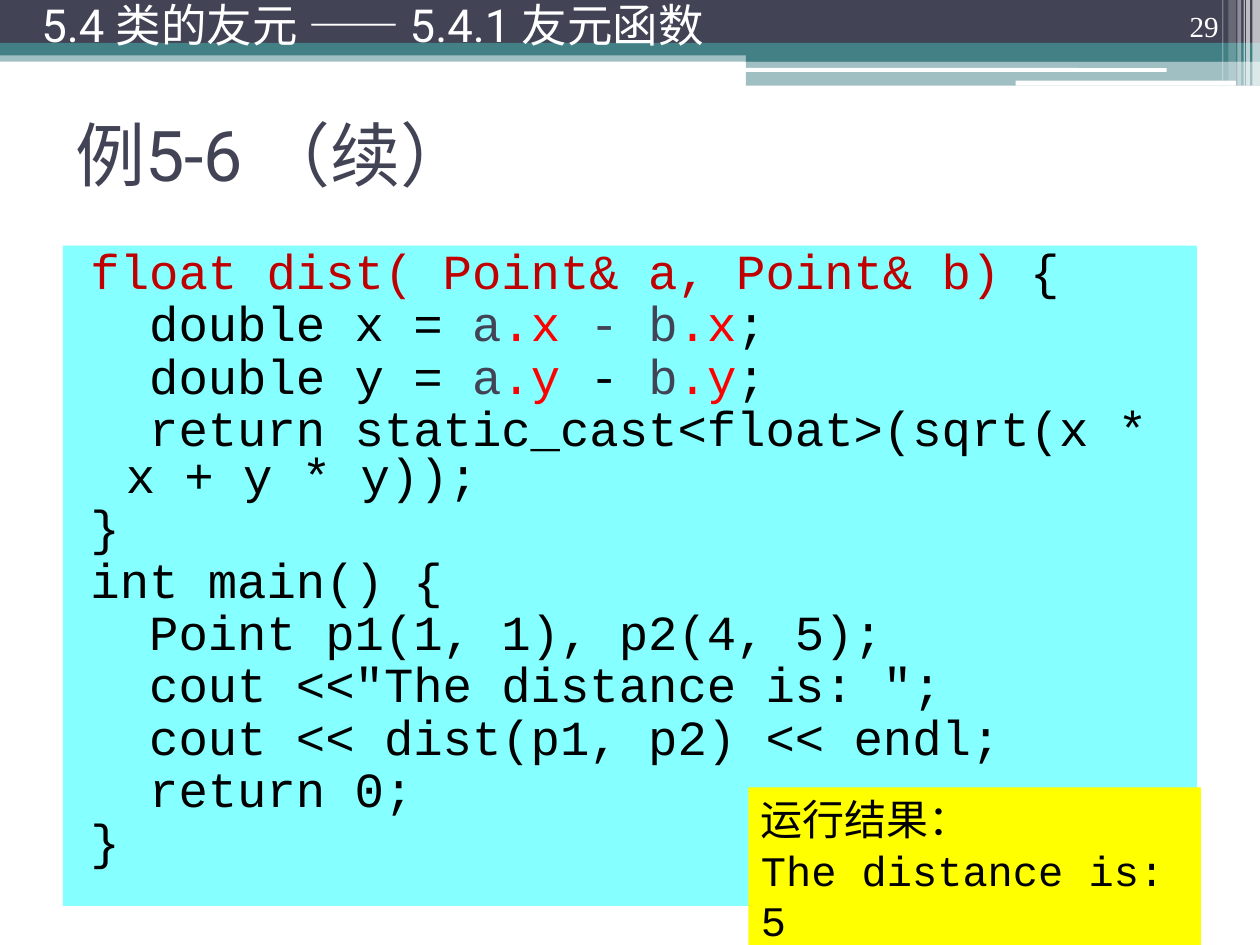
from pptx import Presentation
from pptx.dml.color import RGBColor
from pptx.enum.shapes import MSO_SHAPE
from pptx.enum.text import MSO_ANCHOR, MSO_AUTO_SIZE, PP_ALIGN
from pptx.oxml.ns import qn
from pptx.util import Inches, Pt
from lxml import etree

RECT, ROUND = MSO_SHAPE.RECTANGLE, MSO_SHAPE.ROUNDED_RECTANGLE
TOP, MID, LOW = MSO_ANCHOR.TOP, MSO_ANCHOR.MIDDLE, MSO_ANCHOR.BOTTOM
LEFT, RIGHT = PP_ALIGN.LEFT, PP_ALIGN.RIGHT
GROW = MSO_AUTO_SIZE.SHAPE_TO_FIT_TEXT
INK, TEAL, WHITE, BLACK = "424456", "438086", "FFFFFF", "000000"
CRIMSON, RED, CYAN, YELLOW = "C00000", "FF0000", "85FFFF", "FFFF00"
CODE = "Courier New"

deck = Presentation()
deck.slide_width, deck.slide_height = Inches(10), Inches(7.5)
slide = deck.slides.add_slide(deck.slide_layouts[6])
unit = deck.slide_width / 10  # ten columns, seven and a half rows


def block(place, color=None, alpha=100, kind=RECT):
    """Add a borderless shape; place is left, top, width, height in units."""
    item = slide.shapes.add_shape(kind, *(int(n * unit) for n in place))
    item.shadow.inherit = False
    item.line.fill.background()
    if color is None:
        item.fill.background()
        return item
    item.fill.solid()
    item.fill.fore_color.rgb = RGBColor.from_string(color)
    if alpha < 100:
        tint = item.fill._xPr.find(".//" + qn("a:srgbClr"))
        etree.SubElement(tint, qn("a:alpha")).set("val", str(alpha * 1000))
    return item


def write(item, lines, size, font, anchor=TOP, align=LEFT, space=1.0):
    """Fill a shape with lines, each a list of (text, color) runs."""
    frame = item.text_frame
    frame.word_wrap = True
    frame.vertical_anchor = anchor
    frame.text = "\n".join("" for _ in lines)
    for para, line in zip(frame.paragraphs, lines):
        para.alignment, para.line_spacing = align, space
        for text, color in line:
            run = para.add_run()
            run.text = text
            run.font.size, run.font.name = Pt(size), font
            run.font.color.rgb = RGBColor.from_string(color)
    return frame


# Header bands
block((0, 0.4, 10, 0.09), TEAL, 50)
block((0, 0, 10, 0.34), INK)
block((0, 0.34, 10, 0.1), TEAL)
block((5.92, 0.39, 4.08, 0.1), TEAL)
block((5.92, 0.48, 4.08, 0.2), TEAL, 50)
for place in ((5.91, 0.54, 3.35, 0.03), (8.06, 0.64, 1.75, 0.04)):
    block(place, WHITE, kind=ROUND)

# Pale stripes in the corner: left, width, height, opacity
for left, wide, high, alpha in (
    (9.94, 0.06, 0.68, 65), (9.89, 0.03, 0.68, 65), (9.87, 0.01, 0.68, 60),
    (9.82, 0.03, 0.68, 40), (9.75, 0.06, 0.64, 20), (9.7, 0.01, 0.64, 30),
):
    block((left, 0, wide, high), WHITE, alpha)

write(block((0.5, 0.63, 9, 1.17)), [[("例5-6 （续）", INK)]], 40, "Roboto", MID)

# Program listing
code = [
    [("float dist( Point& a, Point& b) ", CRIMSON), ("{", BLACK)],
    [("  double x = ", BLACK), ("a", INK), (".x ", RED), ("- b", INK),
     (".x", RED), (";", BLACK)],
    [("  double y = ", BLACK), ("a", INK), (".y", RED), (" - ", BLACK),
     ("b", INK), (".y", RED), (";", BLACK)],
]
code += [[(line, BLACK)] for line in (
    "  return static_cast<float>(sqrt(x * x + y * y));",
    "}",
    "int main() {",
    "  Point p1(1, 1), p2(4, 5);",
    '  cout <<"The distance is: ";',
    "  cout << dist(p1, p2) << endl;",
    "  return 0;",
    "}",
)]
frame = write(block((0.5, 1.95, 9, 5.24), CYAN), code, 28, CODE, space=0.8)
for row, para in enumerate(frame.paragraphs):
    para.space_before = Pt(3 if row else 0)
    props = para._p.get_or_add_pPr()
    props.set("marL", str(Inches(0.4)))
    props.set("indent", str(Inches(-0.28)))

# Page number and running head
write(block((8.94, 0, 0.83, 0.4)), [[("29", WHITE)]], 16.6,
      "Times New Roman", LOW, RIGHT, 0.9)
write(block((0.23, 0, 7.89, 0.47)),
      [[("5.4 类的友元 —— 5.4.1 友元函数", WHITE)]], 26, "Roboto", MID, space=0.8)

# Program output
result = [[("运行结果：", BLACK)], [("The distance is: 5", BLACK)]]
frame = write(block((5.94, 6.25, 3.59, 1.3), YELLOW), result, 24, CODE)
frame.auto_size = GROW

deck.save("out.pptx")
